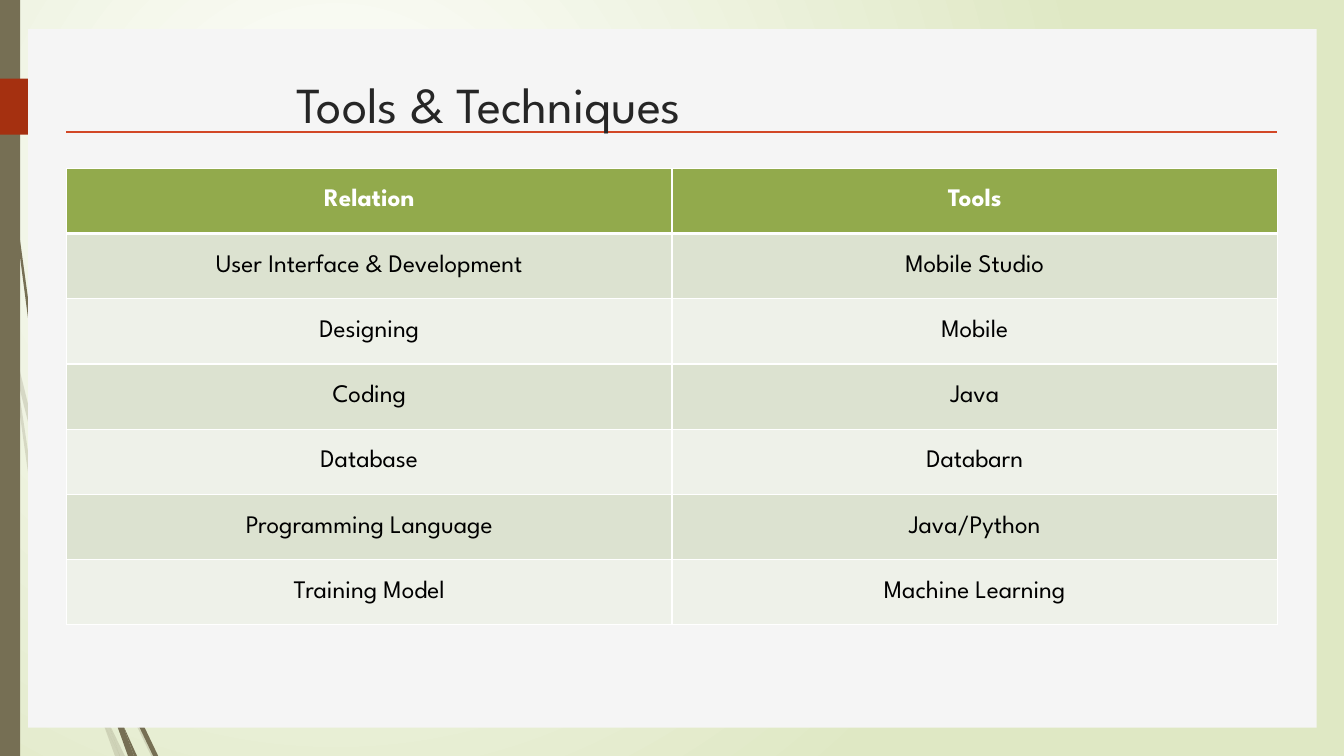
from lxml.etree import SubElement
from pptx import Presentation
from pptx.dml.color import RGBColor
from pptx.enum.shapes import MSO_CONNECTOR as Connector, MSO_SHAPE as Shape
from pptx.enum.text import MSO_ANCHOR as Anchor, PP_ALIGN as Align
from pptx.oxml.ns import qn
from pptx.util import Inches, Pt

WIDTH, HEIGHT = Inches(13.33), Inches(7.5)
FONT = "League Spartan"
OLIVE, RUST, PANEL, RULE = "766F54", "A53010", "F5F5F5", "D24726"
HEADER, BANDS = "92AA4C", ("EEF1E9", "DCE2D0")

TOOLS = [
    ("Relation", "Tools"),
    ("User Interface & Development", "Mobile Studio"),
    ("Designing", "Mobile"),
    ("Coding", "Java"),
    ("Database", "Databarn"),
    ("Programming Language", "Java/Python"),
    ("Training Model", "Machine Learning"),
]

WISP_GRID = (160, 750)
PALE_WISPS = [
    [(58, 522), (84, 599), (85, 586), (62, 520), (36, 434), (14, 345), (17, 376), (36, 451)],
    [(92, 607), (88, 596), (88, 610), (123, 694), (150, 750), (155, 750), (127, 692)],
    [(119, 750), (124, 750), (105, 711)],
    [(93, 683), (70, 619), (31, 469), (17, 376), (11, 350), (28, 470), (65, 621),
     (92, 693), (101, 714), (99, 707)],
    [(101, 714), (114, 750), (119, 750)],
    [(96, 692), (93, 683), (99, 707), (101, 714), (119, 750), (105, 711)],
]
DARK_WISPS = [
    [(7, 110), (17, 233), (33, 355), (56, 477), (57, 481), (55, 457), (55, 453), (36, 355),
     (19, 232), (8, 109), (5, 48), (4, 0), (3, 0), (4, 48)],
    [(113, 649), (110, 641), (111, 656), (132, 708), (152, 750), (157, 750), (136, 706)],
    [(133, 750), (136, 750), (122, 719)],
    [(117, 722), (127, 750), (131, 750)],
    [(116, 706), (110, 691), (116, 717), (117, 722), (130, 750), (133, 750), (122, 719)],
]
TAG_GRID = (174, 56)
TAG = [(0, 0), (146, 0), (148, 1), (173, 26), (173, 30), (148, 55), (146, 56), (0, 56)]


def color(value):
    return RGBColor.from_string(value)


def place(left, top, width, height):
    return (round(WIDTH * left / 100), round(HEIGHT * top / 100),
            round(WIDTH * width / 100), round(HEIGHT * height / 100))


def paint(shape, fill, opacity=100):
    shape.shadow.inherit = False
    shape.fill.solid()
    shape.fill.fore_color.rgb = color(fill)
    shape.line.fill.background()
    if opacity < 100:
        tint = shape.fill._xPr.find(qn("a:solidFill"))[0]
        SubElement(tint, qn("a:alpha"), val=str(opacity * 1000))


def write(frame, text, size=18, ink="000000", bold=False, align=Align.LEFT):
    paragraph = frame.paragraphs[0]
    paragraph.alignment = align
    run = paragraph.add_run()
    run.text = text
    run.font.name, run.font.size, run.font.bold = FONT, Pt(size), bold
    run.font.color.rgb = color(ink)


def outline(shapes, box, grid, points, fill, opacity=100):
    left, top, width, height = place(*box)
    spots = [(left + width * x / grid[0], top + height * y / grid[1]) for x, y in points]
    builder = shapes.build_freeform(*spots[0], scale=1.0)
    builder.add_line_segments(spots[1:], close=True)
    paint(builder.convert_to_shape(), fill, opacity)


def block(slide, box, fill):
    paint(slide.shapes.add_shape(Shape.RECTANGLE, *place(*box)), fill)


def backdrop(slide):
    fill = slide.background.fill
    fill.gradient()
    for stop, position, tone in zip(fill.gradient_stops, (0, 1), ("FFFFFF", "DFE8C4")):
        stop.position = position
        stop.color.rgb = color(tone)
    gradient = slide.element.xpath(".//p:bg//a:gradFill")[0]
    for linear in gradient.findall(qn("a:lin")):
        gradient.remove(linear)
    radial = SubElement(gradient, qn("a:path"))
    radial.set("path", "circle")
    SubElement(radial, qn("a:fillToRect"), l="50000", t="50000", r="100000", b="100000")


def wisps(slide, box, strands, opacity):
    group = slide.shapes.add_group_shape()
    for strand in strands:
        outline(group.shapes, box, WISP_GRID, strand, OLIVE, opacity)


def heading(slide, box, text):
    left, top, width, height = place(*box)
    rule_y = top + round(height * 0.45)
    margin = round(WIDTH * 0.0495)
    rule = slide.shapes.add_connector(
        Connector.STRAIGHT, margin, rule_y, WIDTH - margin, rule_y)
    rule.line.color.rgb = color(RULE)
    rule.line.width = Pt(2)
    SubElement(rule._element.spPr, qn("a:effectLst"))
    title = slide.shapes.add_textbox(left, top, width, height)
    title.text_frame.word_wrap = True
    write(title.text_frame, text, size=36, ink="262626")


def edge(cell, side, points):
    line = SubElement(cell._tc.get_or_add_tcPr(), qn(f"a:ln{side}"), w=str(Pt(points)))
    SubElement(SubElement(line, qn("a:solidFill")), qn("a:srgbClr"), val="FFFFFF")


def tools_table(slide, box, rows):
    left, top, width, height = place(*box)
    table = slide.shapes.add_table(len(rows), len(rows[0]), left, top, width, height).table
    for r, row in enumerate(rows):
        header = r == 0
        table.rows[r].height = round(height / len(rows))
        for c, text in enumerate(row):
            cell = table.cell(r, c)
            cell.vertical_anchor = Anchor.MIDDLE
            for side in "LRTB":
                thick = (header and side == "B") or (r == 1 and side == "T")
                edge(cell, side, 3 if thick else 1)
            cell.fill.solid()
            cell.fill.fore_color.rgb = color(HEADER if header else BANDS[r % 2])
            write(cell.text_frame, text, ink="FFFFFF" if header else "000000",
                  bold=header, align=Align.CENTER)


def main():
    deck = Presentation()
    deck.slide_width, deck.slide_height = WIDTH, HEIGHT
    slide = deck.slides.add_slide(deck.slide_layouts[6])
    backdrop(slide)
    wisps(slide, (0, 0, 12, 100), PALE_WISPS, 20)
    wisps(slide, (0, 0, 12, 100), DARK_WISPS, 100)
    block(slide, (0, 0, 1.5, 100), OLIVE)
    outline(slide.shapes, (0, 10.4, 13.05, 7.4), TAG_GRID, TAG, RUST)
    block(slide, (2.1, 3.87, 95.87, 92.4), PANEL)
    heading(slide, (21.3, 9.07, 73.14, 18.67), "Tools & Techniques")
    tools_table(slide, (4.95, 22.27, 90.1, 60.4), TOOLS)
    deck.save("out.pptx")


if __name__ == "__main__":
    main()
